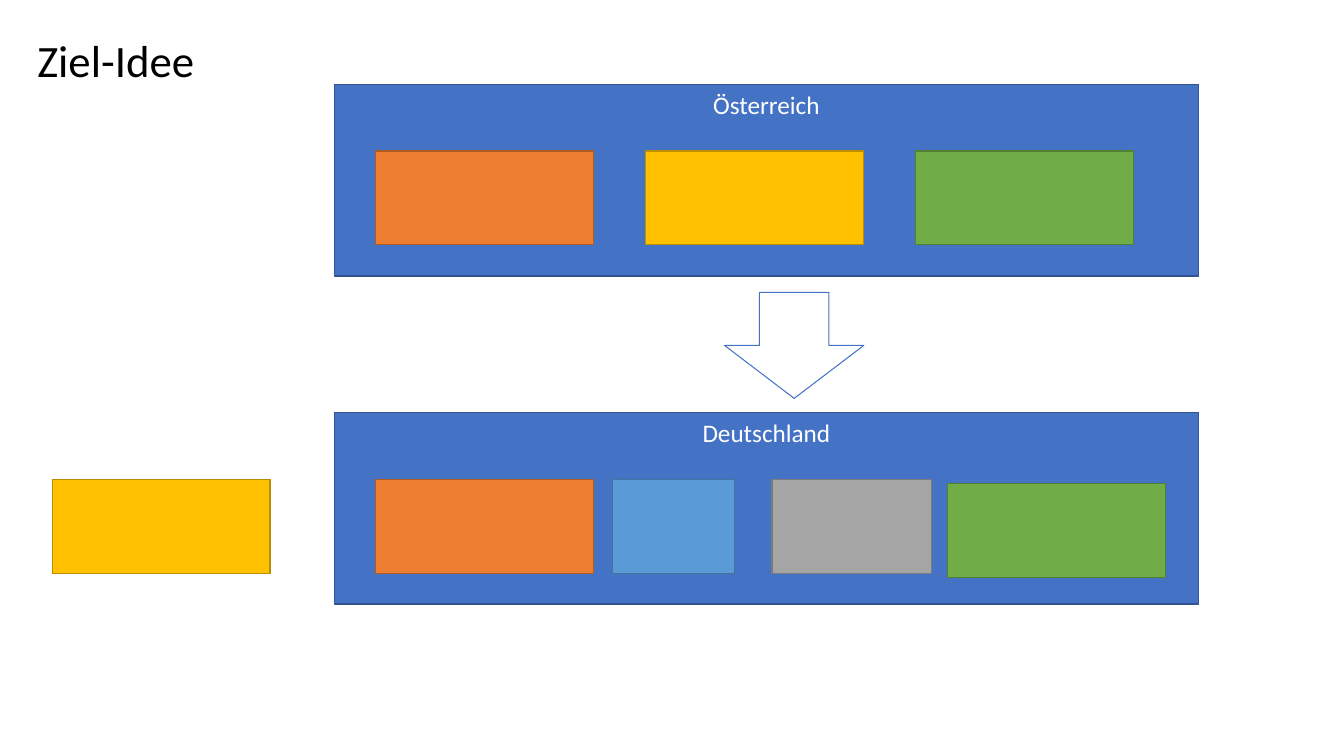
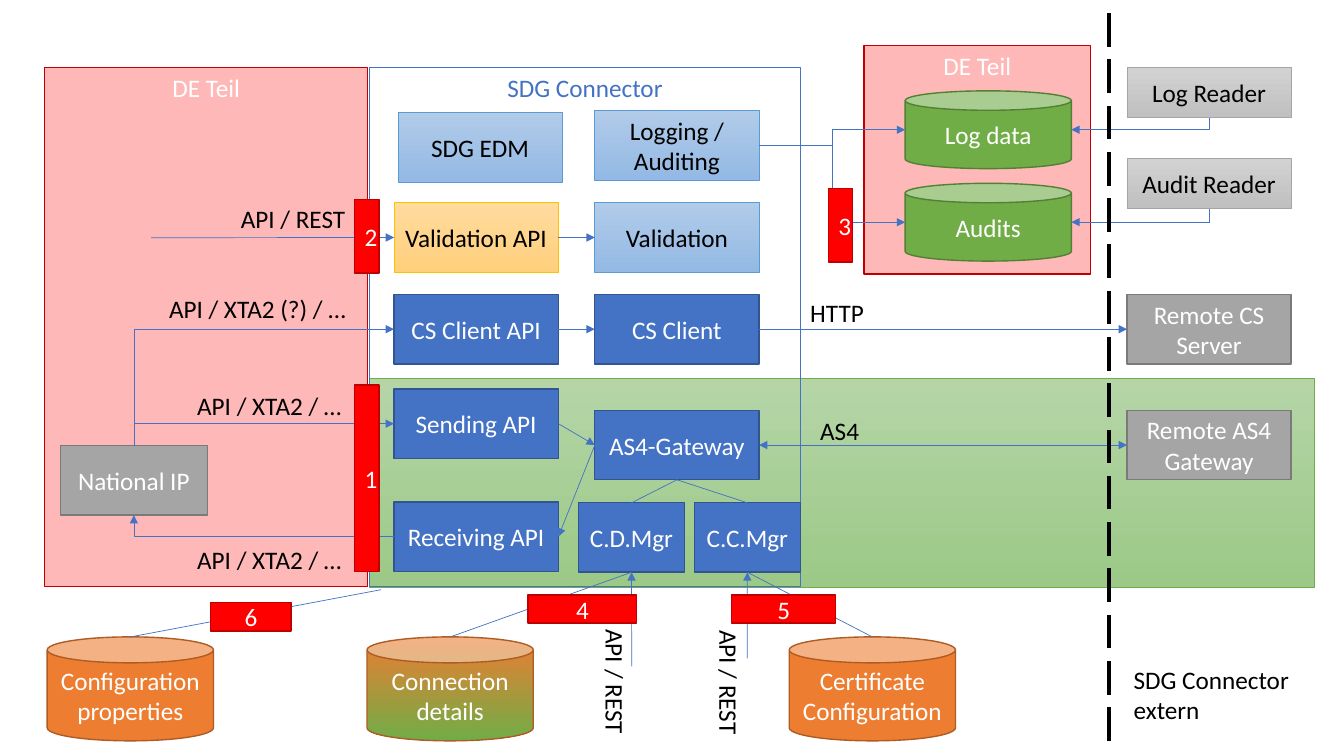
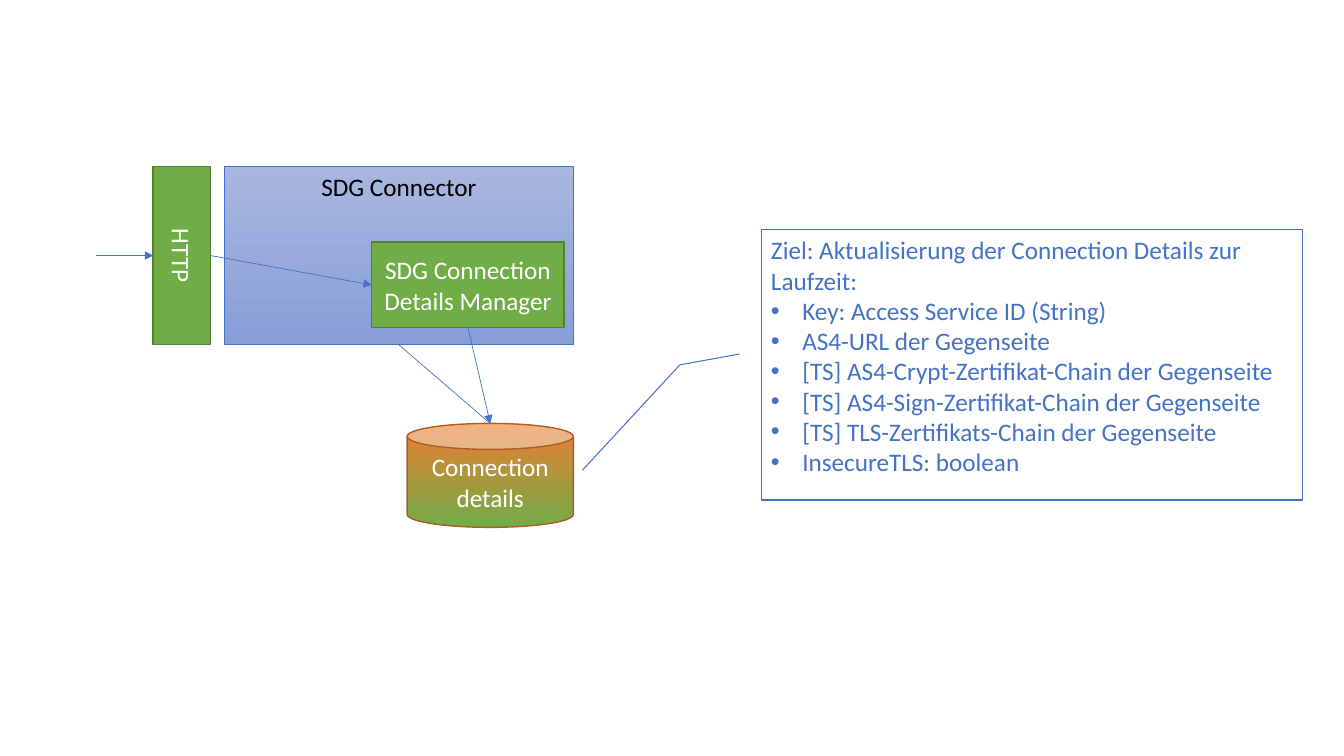
from lxml import etree
from pptx import Presentation
from pptx.dml.color import RGBColor
from pptx.enum.dml import MSO_LINE
from pptx.enum.shapes import MSO_CONNECTOR, MSO_SHAPE
from pptx.enum.text import MSO_ANCHOR, PP_ALIGN
from pptx.oxml.ns import qn
from pptx.util import Cm, Pt

RECTANGLE, CAN = MSO_SHAPE.RECTANGLE, MSO_SHAPE.CAN
DOWN_ARROW, CALLOUT = MSO_SHAPE.DOWN_ARROW, MSO_SHAPE.LINE_CALLOUT_2
STRAIGHT, ELBOW = MSO_CONNECTOR.STRAIGHT, MSO_CONNECTOR.ELBOW
TOP, MIDDLE = MSO_ANCHOR.TOP, MSO_ANCHOR.MIDDLE
LEFT, CENTER = PP_ALIGN.LEFT, PP_ALIGN.CENTER
LONG_DASH = MSO_LINE.LONG_DASH

COLORS = {
    "white": "FFFFFF", "black": "000000",
    "blue": "4472C4", "blue edge": "325491",
    "orange": "ED7D31", "orange edge": "AF5C24",
    "yellow": "FFC000", "yellow edge": "BD8E00",
    "green": "70AD47", "green edge": "538035",
    "sky": "5B9BD5", "sky edge": "43739E",
    "gray": "A5A5A5", "gray edge": "7A7A7A",
    "red": "FF0000", "red edge": "C00000",
    "pale green top": "B5D5A7", "pale green bottom": "9CC987",
    "pale sky top": "B1CBE9", "pale sky bottom": "93B9E4",
    "pale yellow top": "FFDB9E", "pale yellow bottom": "FFD07C",
    "pale gray top": "D2D2D2", "pale gray bottom": "C0C0C0",
    "pale blue top": "A8B7DF", "pale blue bottom": "889ED7",
}
RGB = {name: RGBColor.from_string(value) for name, value in COLORS.items()}

STYLES = {
    name: {"fill": [name], "line": name + " edge", "width": 1, "font": "white"}
    for name in ("blue", "orange", "yellow", "green", "sky", "gray", "red")
}
for name in ("green", "sky", "yellow", "gray", "blue"):
    pale = "pale " + name
    STYLES[pale] = {"fill": [pale + " top", pale + " bottom"], "line": name, "width": 0.5, "font": "black"}
STYLES["mixed"] = {"fill": ["orange", "green"], "line": "orange edge", "width": 1, "font": "white"}
STYLES["outline"] = {"fill": [], "line": "blue", "width": 0.75, "font": "blue"}
STYLES["german part"] = STYLES["red"] | {"alpha": 28000}
STYLES["label"] = {"font": "black"}

SIDES = {"top": (0.5, 0), "left": (0, 0.5), "bottom": (0.5, 1), "right": (1, 0.5)}


def add_box(slide, kind, style_name, bounds, text="", size=18, alignment=CENTER, **frame_format):
    style = STYLES[style_name]
    lengths = [Cm(length) for length in bounds]
    if kind is None:
        shape = slide.shapes.add_textbox(*lengths)
    else:
        shape = slide.shapes.add_shape(kind, *lengths)
        shape.shadow.inherit = False
        shape.line.color.rgb = RGB[style["line"]]
        shape.line.width = Pt(style["width"])
        colors = style["fill"]
        if not colors:
            shape.fill.background()
        elif len(colors) == 1:
            shape.fill.solid()
            shape.fill.fore_color.rgb = RGB[colors[0]]
        else:
            shape.fill.gradient()
            shape.fill.gradient_angle = 270
            for stop, color in zip(shape.fill.gradient_stops, colors):
                stop.color.rgb = RGB[color]
        if "alpha" in style:
            color_element = shape._element.spPr.find(qn("a:solidFill")).find(qn("a:srgbClr"))
            etree.SubElement(color_element, qn("a:alpha"), val=str(style["alpha"]))
    frame = shape.text_frame
    frame.text = text
    for attribute, value in ({"word_wrap": True, "vertical_anchor": MIDDLE} | frame_format).items():
        setattr(frame, attribute, value)
    for paragraph in frame.paragraphs:
        paragraph.alignment = alignment
        for run in paragraph.runs:
            for attribute, value in {"name": "Calibri", "size": Pt(size)}.items():
                setattr(run.font, attribute, value)
            run.font.color.rgb = RGB[style["font"]]
    return shape


def add_link(slide, start, end, arrows=("tail",), kind=STRAIGHT, preset=None, color="blue", width=0.5):
    points, sites = [], []
    for target, place in (start, end):
        if place in SIDES:
            across, down = SIDES[place]
            points += [int(target.left + across * target.width), int(target.top + down * target.height)]
            site = list(SIDES).index(place) + (target.auto_shape_type == CAN)
            sites.append((target.shape_id, site))
        else:
            points += [Cm(target), Cm(place)]
            sites.append(None)
    connector = slide.shapes.add_connector(kind, *points)
    connector.line.color.rgb = RGB[color]
    connector.line.width = Pt(width)
    properties = connector._element.spPr
    if preset:
        properties.find(qn("a:prstGeom")).set("prst", preset)
    for arrow in arrows:
        etree.SubElement(properties.find(qn("a:ln")), qn(f"a:{arrow}End"), type="triangle")
    etree.SubElement(properties, qn("a:effectLst"))
    connection = connector._element.find(qn("p:nvCxnSpPr")).find(qn("p:cNvCxnSpPr"))
    for tag, site in zip(("a:stCxn", "a:endCxn"), sites):
        if site:
            etree.SubElement(connection, qn(tag), id=str(site[0]), idx=str(site[1]))
    return connector


presentation = Presentation()
presentation.slide_width, presentation.slide_height = Cm(33.87), Cm(19.05)
blank_layout = presentation.slide_layouts[6]
goal_slide, architecture_slide, details_slide = [
    presentation.slides.add_slide(blank_layout) for _ in range(3)
]

for country, top in (("Österreich", 2.13), ("Deutschland", 10.39)):
    add_box(goal_slide, RECTANGLE, "blue", (8.43, top, 21.77, 4.83), country, vertical_anchor=TOP)
for column, color in enumerate(("orange", "yellow", "green")):
    add_box(goal_slide, RECTANGLE, color, (9.47 + column * 6.8, 3.81, 5.49, 2.36))
for color, left, top, width in (
    ("green", 23.88, 12.19, 5.49),
    ("orange", 9.47, 12.09, 5.49),
    ("sky", 15.44, 12.09, 3.07),
    ("gray", 19.46, 12.09, 4.01),
    ("yellow", 1.32, 12.09, 5.49),
):
    add_box(goal_slide, RECTANGLE, color, (left, top, width, 2.36))
add_box(goal_slide, DOWN_ARROW, "outline", (18.26, 7.37, 3.51, 2.67))
add_box(goal_slide, None, "label", (0.69, 0.71, 4.5, 1.63), "Ziel-Idee", 32, LEFT,
        word_wrap=False, vertical_anchor=TOP)

for style, bounds, text in (
    ("german part", (21.77, 1.14, 5.72, 5.77), "DE Teil"),
    ("german part", (1.12, 1.7, 8.15, 13.08), "DE Teil"),
    ("pale green", (9.32, 9.53, 23.8, 5.26), ""),
    ("outline", (9.32, 1.7, 10.85, 13.08), "SDG Connector"),
):
    add_box(architecture_slide, RECTANGLE, style, bounds, text, vertical_anchor=TOP)

API, CLIENT, REMOTE = 9.93, 14.99, 28.4
BLOCK, READER, MANAGER = (4.14, 1.75), (4.14, 1.27), (2.67, 1.75)
STORE, LOG_STORE = (4.19, 2.62), (4.19, 1.96)
parts = {}
for kind, style, left, top, size, text in (
    (RECTANGLE, "pale sky", 10.03, 2.84, BLOCK, "SDG EDM"),
    (RECTANGLE, "pale sky", CLIENT, 2.79, BLOCK, "Logging / Auditing"),
    (RECTANGLE, "pale yellow", API, 5.11, BLOCK, "Validation API"),
    (RECTANGLE, "pale sky", CLIENT, 5.11, BLOCK, "Validation"),
    (RECTANGLE, "blue", API, 7.42, BLOCK, "CS Client API"),
    (RECTANGLE, "blue", CLIENT, 7.42, BLOCK, "CS Client"),
    (RECTANGLE, "gray", REMOTE, 7.42, BLOCK, "Remote CS Server"),
    (RECTANGLE, "blue", API, 9.8, BLOCK, "Sending API"),
    (RECTANGLE, "blue", API, 12.65, BLOCK, "Receiving API"),
    (RECTANGLE, "blue", CLIENT, 10.34, BLOCK, "AS4-Gateway"),
    (RECTANGLE, "gray", REMOTE, 10.34, BLOCK, "Remote AS4 Gateway"),
    (RECTANGLE, "gray", 1.52, 11.23, (3.71, 1.75), "National IP"),
    (RECTANGLE, "blue", 14.58, 12.67, MANAGER, "C.D.Mgr"),
    (RECTANGLE, "blue", 17.5, 12.67, MANAGER, "C.C.Mgr"),
    (RECTANGLE, "pale gray", REMOTE, 1.7, READER, "Log Reader"),
    (RECTANGLE, "pale gray", REMOTE, 3.99, READER, "Audit Reader"),
    (CAN, "green", 22.81, 2.29, LOG_STORE, "Log data"),
    (CAN, "green", 22.81, 4.62, LOG_STORE, "Audits"),
    (CAN, "orange", 1.19, 16.05, STORE, "Configuration properties"),
    (CAN, "mixed", 9.25, 16.05, STORE, "Connection details"),
    (CAN, "orange", 19.89, 16.05, STORE, "Certificate Configuration"),
):
    parts[text] = add_box(architecture_slide, kind, style, (left, top, *size), text)

for start, start_side, end, end_side, arrows in (
    ("Validation API", "right", "Validation", "left", ["tail"]),
    ("CS Client API", "right", "CS Client", "left", ["tail"]),
    ("CS Client", "right", "Remote CS Server", "left", ["tail"]),
    ("Sending API", "right", "AS4-Gateway", "left", ["tail"]),
    ("AS4-Gateway", "left", "Receiving API", "right", ["tail"]),
    ("AS4-Gateway", "right", "Remote AS4 Gateway", "left", ["head", "tail"]),
    ("AS4-Gateway", "bottom", "C.D.Mgr", "top", []),
    ("AS4-Gateway", "bottom", "C.C.Mgr", "top", []),
    ("C.D.Mgr", "bottom", "Connection details", "top", []),
    ("C.C.Mgr", "bottom", "Certificate Configuration", "top", []),
):
    add_link(architecture_slide, (parts[start], start_side), (parts[end], end_side), arrows)
for start, end, side, arrows in (
    ((9.6, 14.86), "Configuration properties", "top", []),
    ((3.81, 5.99), "Validation API", "left", ["tail"]),
    ((15.92, 16.79), "C.D.Mgr", "bottom", ["tail"]),
    ((18.83, 16.59), "C.C.Mgr", "bottom", ["tail"]),
):
    add_link(architecture_slide, start, (parts[end], side), arrows)
for start, start_side, end, end_side, arrow in (
    ("CS Client API", "left", "National IP", "top", "head"),
    ("Sending API", "left", "National IP", "top", "head"),
    ("Receiving API", "left", "National IP", "bottom", "tail"),
    ("Log data", "right", "Log Reader", "bottom", "head"),
    ("Audits", "right", "Audit Reader", "bottom", "head"),
):
    add_link(architecture_slide, (parts[start], start_side), (parts[end], end_side), [arrow],
             ELBOW, "bentConnector2")
for store in ("Log data", "Audits"):
    add_link(architecture_slide, (parts["Logging / Auditing"], "right"), (parts[store], "left"), kind=ELBOW)
border = add_link(architecture_slide, (27.94, 0.33), (27.94, 18.82), [], color="black", width=3)
border.line.dash_style = LONG_DASH

for number, bounds in enumerate((
    (8.94, 9.7, 0.61, 4.7),
    (8.94, 5.03, 0.61, 1.85),
    (20.88, 4.75, 0.61, 1.85),
    (13.31, 14.99, 2.74, 0.71),
    (18.44, 14.99, 2.62, 0.71),
    (5.31, 15.19, 2.03, 0.71),
), 1):
    add_box(architecture_slide, RECTANGLE, "red", bounds, str(number))
for text, left, top, width, rotation in (
    ("AS4", 20.42, 10.34, 1.5, 0),
    ("HTTP", 20.17, 7.37, 1.88, 0),
    ("API / XTA2 / …", 4.72, 9.7, 4.34, 0),
    ("API / XTA2 / …", 4.72, 13.59, 4.34, 0),
    ("API / XTA2 (?) / …", 4.01, 7.26, 5.05, 0),
    ("API / REST", 5.82, 5, 3.18, 0),
    ("API / REST", 13.92, 16.69, 3.18, 90),
    ("API / REST", 16.79, 16.71, 3.18, 90),
):
    label = add_box(architecture_slide, None, "label", (left, top, width, 1.02), text,
                    alignment=LEFT, word_wrap=False, vertical_anchor=TOP)
    label.rotation = rotation
add_box(architecture_slide, None, "label", (28.32, 16.61, 4.52, 1.8), "SDG Connector extern",
        alignment=LEFT, vertical_anchor=TOP)

connector_box = add_box(details_slide, RECTANGLE, "pale blue", (5.66, 4.19, 8.79, 4.5), "SDG Connector",
                        vertical_anchor=TOP)
details_store = add_box(details_slide, CAN, "mixed", (10.26, 10.67, 4.19, 2.62), "Connection details")
details_manager = add_box(details_slide, RECTANGLE, "green", (9.37, 6.1, 4.85, 2.16),
                          "SDG Connection Details Manager")
http_box = add_box(details_slide, RECTANGLE, "green", (3.86, 4.19, 1.45, 4.5), "HTTP")
http_box.text_frame._txBody.find(qn("a:bodyPr")).set("vert", "vert")
for start, end, arrows in (
    ((connector_box, "bottom"), (details_store, "top"), []),
    ((details_manager, "bottom"), (details_store, "top"), ["tail"]),
    ((http_box, "right"), (details_manager, "left"), ["tail"]),
    ((2.41, 6.44), (http_box, "left"), ["tail"]),
):
    add_link(details_slide, start, end, arrows)

goal_lines = (
    "Ziel: Aktualisierung der Connection Details zur Laufzeit:",
    "Key: Access Service ID (String)",
    "AS4-URL der Gegenseite",
    "[TS] AS4-Crypt-Zertifikat-Chain der Gegenseite",
    "[TS] AS4-Sign-Zertifikat-Chain der Gegenseite",
    "[TS] TLS-Zertifikats-Chain der Gegenseite",
    "InsecureTLS: boolean",
)
goal_callout = add_box(details_slide, CALLOUT, "outline", (19.18, 5.79, 13.64, 6.81),
                       "\n".join(goal_lines), alignment=LEFT, vertical_anchor=TOP)
for index, value in enumerate((0.46, -0.04, 0.5, -0.15, 0.89, -0.33)):
    goal_callout.adjustments[index] = value
for paragraph in goal_callout.text_frame.paragraphs[1:]:
    properties = paragraph._p.get_or_add_pPr()
    properties.set("marL", str(Cm(0.79)))
    properties.set("indent", str(-Cm(0.79)))
    etree.SubElement(properties, qn("a:buFont"), typeface="Arial")
    etree.SubElement(properties, qn("a:buChar"), char="•")

presentation.save("out.pptx")
